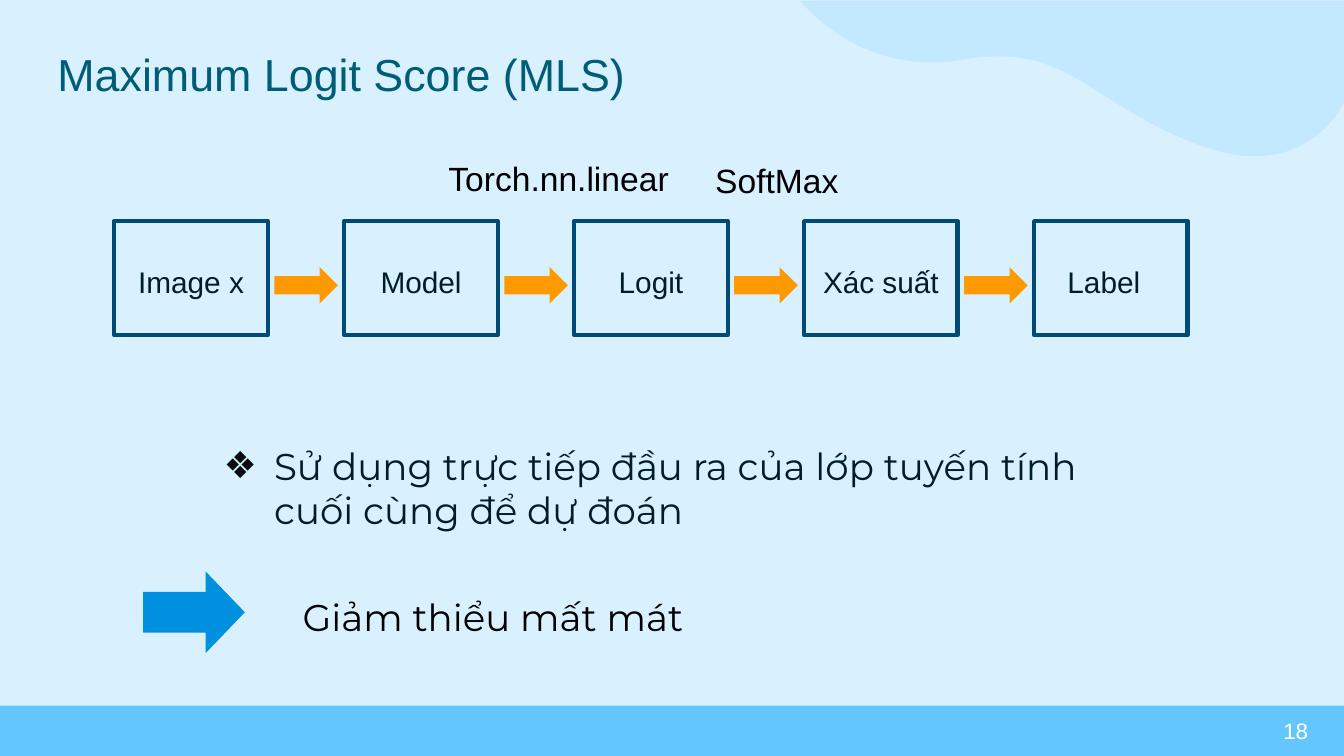
from pptx import Presentation
from pptx.dml.color import RGBColor
from pptx.enum.shapes import MSO_SHAPE as Shape
from pptx.enum.text import MSO_ANCHOR as Anchor, PP_ALIGN as Align
from pptx.oxml import parse_xml
from pptx.oxml.ns import nsdecls, qn
from pptx.util import Pt

NAVY = "001D2D"
STEPS = ["Image x", "Model", "Logit", "Xác suất", "Label"]
STEP_LEFT, STEP_TOP, STEP_WIDTH, STEP_HEIGHT = 81.7, 158, 109.6, 81.4
STEP_PITCH = 164.25

# Bezier pieces of the corner wave: two control points and an end point each
WAVE_START = (960, 72.7)
WAVE_CURVES = [
    [(960, 72.7), (943.2, 111.6), (896.4, 111.6)],
    [(884.9, 111.6), (871.9, 109.4), (856.8, 103.7)],
    [(788.4, 78.5), (767.5, 40.3), (713.5, 40.3)],
    [(706.3, 40.3), (697.7, 41), (689, 42.5)],
    [(680.4, 43.9), (673.2, 44.6), (665.3, 44.6)],
    [(605.5, 44.6), (571.7, 0.7), (571.7, 0.7)],
]


def color(value):
    return RGBColor.from_string(value)


def paint(shape, fill=None, line=None):
    shape.shadow.inherit = False
    if fill:
        shape.fill.solid()
        shape.fill.fore_color.rgb = color(fill)
    else:
        shape.fill.background()
    if line:
        shape.line.color.rgb = color(line)
        shape.line.width = Pt(3)
    else:
        shape.line.fill.background()


def add_block(page, kind, left, top, width, height, fill=None, line=None):
    block = page.shapes.add_shape(kind, Pt(left), Pt(top), Pt(width), Pt(height))
    paint(block, fill, line)
    return block


def add_text(page, text, left, top, width, height, size, ink,
             font="Arial", align=Align.LEFT, anchor=Anchor.TOP, inset=None):
    box = page.shapes.add_textbox(Pt(left), Pt(top), Pt(width), Pt(height))
    frame = box.text_frame
    frame.word_wrap = True
    frame.vertical_anchor = anchor
    if inset:
        frame.margin_left = frame.margin_right = Pt(inset)
        frame.margin_top = frame.margin_bottom = Pt(inset)
    frame.text = text
    para = frame.paragraphs[0]
    para.alignment = align
    span = para.runs[0]
    span.font.size = Pt(size)
    span.font.name = font
    span.font.color.rgb = color(ink)
    return box


def add_bullet(para, symbol, ink, font):
    props = para._p.get_or_add_pPr()
    props.set("marL", str(Pt(48)))
    props.set("indent", str(-Pt(36)))
    for part in (f'<a:buClr {nsdecls("a")}><a:srgbClr val="{ink}"/></a:buClr>',
                 f'<a:buFont {nsdecls("a")} typeface="{font}"/>',
                 f'<a:buChar {nsdecls("a")} char="{symbol}"/>'):
        props.append(parse_xml(part))


def add_wave(page):
    outline = page.shapes.build_freeform(Pt(960), Pt(0.7))
    corners = [WAVE_START] + [curve[-1] for curve in WAVE_CURVES]
    outline.add_line_segments([(Pt(x), Pt(y)) for x, y in corners], close=True)
    wave = outline.convert_to_shape()
    paint(wave, "C2E9FF")
    # Turn every straight side after the first into a Bezier curve
    sides = list(wave._element.iter(qn("a:lnTo")))[1:]
    for side, curve in zip(sides, WAVE_CURVES):
        points = "".join(f'<a:pt x="{Pt(x) - wave.left}" y="{Pt(y) - wave.top}"/>'
                         for x, y in curve)
        bend = parse_xml(f'<a:cubicBezTo {nsdecls("a")}>{points}</a:cubicBezTo>')
        side.getparent().replace(side, bend)


def add_step(page, index, name):
    left = STEP_LEFT + index * STEP_PITCH
    is_last = index == len(STEPS) - 1
    nudge = 5 if is_last else 0
    add_text(page, name, left - nudge, 185, STEP_WIDTH, 33, 21.3, NAVY,
             align=Align.CENTER)
    add_block(page, Shape.RECTANGLE, left, STEP_TOP, STEP_WIDTH, STEP_HEIGHT,
              line="004B76")
    if not is_last:
        add_block(page, Shape.RIGHT_ARROW, left + 114.3, 190.8, 45.4, 26, "FF9900")


def main():
    deck = Presentation()
    deck.slide_width, deck.slide_height = Pt(960), Pt(540)
    page = deck.slides.add_slide(deck.slide_layouts[6])

    # Background, footer bar and page number
    page.background.fill.solid()
    page.background.fill.fore_color.rgb = color("D9F1FF")
    add_block(page, Shape.RECTANGLE, 0, 504, 960, 36, "63C6FF")
    add_text(page, "18", 725.5, 507.6, 216, 28.8, 16, "FFFFFF",
             align=Align.RIGHT, anchor=Anchor.MIDDLE)
    add_wave(page)

    # Title
    add_text(page, "Maximum Logit Score (MLS)", 31.4, 23.8, 597.6, 71.3, 32,
             "005D77", inset=9.6)

    # Flow from image to label
    for index, name in enumerate(STEPS):
        add_step(page, index, name)
    add_text(page, "Torch.nn.linear", 313.2, 109.4, 184.3, 36, 24, "000000")
    add_text(page, "SoftMax", 503.8, 110.5, 149.8, 36, 24, "000000")

    # Explanation and conclusion
    idea = add_text(page, "Sử dụng trực tiếp đầu ra của lớp tuyến tính cuối cùng để dự đoán",
                    138.2, 306.7, 676, 87.8, 26.67, NAVY, "Montserrat", inset=9.6)
    add_bullet(idea.text_frame.paragraphs[0], "❖", "0C0C0C", "Montserrat")
    arrow = add_block(page, Shape.RIGHT_ARROW, 102.2, 408.2, 72.7, 58.3, "0090E0")
    arrow.adjustments[1] = 0.48
    add_text(page, "Giảm thiểu mất mát", 206.6, 414.7, 352.8, 51.8, 26.67,
             "000000", "Montserrat", inset=9.6)

    deck.save("out.pptx")


if __name__ == "__main__":
    main()
